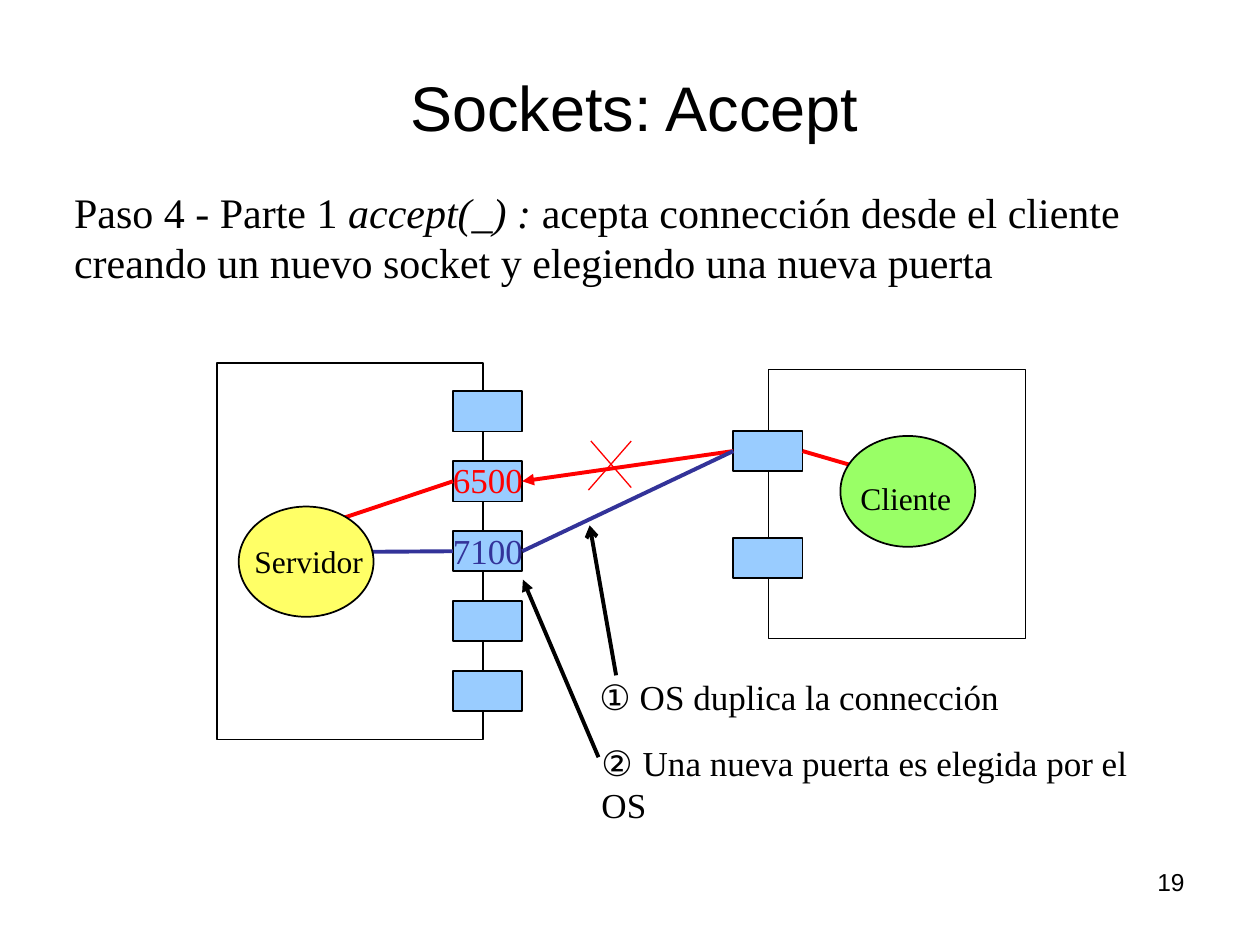
from lxml.etree import SubElement
from pptx import Presentation
from pptx.dml.color import RGBColor
from pptx.enum.shapes import MSO_CONNECTOR, MSO_SHAPE
from pptx.enum.text import MSO_ANCHOR, PP_ALIGN
from pptx.oxml.ns import qn
from pptx.util import Inches, Pt

BLACK = RGBColor(0x00, 0x00, 0x00)
WHITE = RGBColor(0xFF, 0xFF, 0xFF)
RED = RGBColor(0xFF, 0x00, 0x00)
NAVY = RGBColor(0x33, 0x33, 0x99)
PORT_BLUE = RGBColor(0x99, 0xCC, 0xFF)
SERVER_YELLOW = RGBColor(0xFF, 0xFF, 0x66)
CLIENT_GREEN = RGBColor(0x99, 0xFF, 0x66)
SERIF = "Times New Roman"
SANS = "Arial"

presentation = Presentation()
presentation.slide_width = Inches(10)
presentation.slide_height = Inches(7.5)
COLUMN = presentation.slide_width / 100
ROW = presentation.slide_height / 75
slide = presentation.slides.add_slide(presentation.slide_layouts[5])


def place(column, row, columns, rows):
    return round(column * COLUMN), round(row * ROW), round(columns * COLUMN), round(rows * ROW)


def add_box(kind, area, color, width=1):
    shape = slide.shapes.add_shape(kind, *place(*area))
    shape.shadow.inherit = False
    shape.fill.solid()
    shape.fill.fore_color.rgb = color
    shape.line.color.rgb = BLACK
    shape.line.width = Pt(width)
    return shape


add_box(MSO_SHAPE.RECTANGLE, (17.2, 28.8, 21.15, 29.9), WHITE)
add_box(MSO_SHAPE.RECTANGLE, (61, 29.35, 20.4, 21.35), WHITE, 0.75)
server_ports = [
    add_box(MSO_SHAPE.RECTANGLE, (35.95, 31.05 + 5.55 * index, 5.5, 3.2), PORT_BLUE)
    for index in range(5)
]
client_ports = [
    add_box(MSO_SHAPE.RECTANGLE, (58.2, row, 5.5, 3.2), PORT_BLUE)
    for row in (34.2, 42.7)
]

listening, accepted = server_ports[1:3]
calling = client_ports[0]
links = [
    ((21.9, 42.9), (listening, 1), RED, 2.25, None),
    ((28.8, 43.8), (accepted, 1), NAVY, 2.25, None),
    ((calling, 1), (listening, 3), RED, 2.25, "triangle"),
    ((accepted, 3), (calling, 1), NAVY, 2.25, None),
    ((calling, 3), (69.2, 37.4), RED, 2.25, None),
    ((46.9, 35), (50.1, 38.7), RED, 0.75, None),
    ((50.1, 35), (46.7, 38.9), RED, 0.75, None),
    ((47.5, 60.1), (41.5, 46), BLACK, 2.25, "triangle"),
    ((48.9, 53.6), (46.8, 41.7), BLACK, 2.25, "arrow"),
]
ports = server_ports + client_ports
for start, end, color, width, arrowhead in links:
    points = [(0, 0) if point[0] in ports else place(*point, 0, 0)[:2] for point in (start, end)]
    connector = slide.shapes.add_connector(MSO_CONNECTOR.STRAIGHT, *points[0], *points[1])
    if start[0] in ports:
        connector.begin_connect(*start)
    if end[0] in ports:
        connector.end_connect(*end)
    connector.line.color.rgb = color
    connector.line.width = Pt(width)
    if arrowhead:
        SubElement(connector.line._get_or_add_ln(), qn("a:tailEnd"), type=arrowhead)
    SubElement(connector._element.spPr, qn("a:effectLst"))

add_box(MSO_SHAPE.OVAL, (18.95, 40.2, 10.7, 8.75), SERVER_YELLOW)
add_box(MSO_SHAPE.OVAL, (66.7, 34.6, 10.7, 8.8), CLIENT_GREEN)

heading = [[("Sockets: Accept", SANS, False)]]
step = [
    [("Paso 4 - Parte 1 ", SERIF, False), ("accept(_) : ", SERIF, True),
     ("acepta connección desde el cliente", SERIF, False)],
    [("creando un nuevo socket y elegiendo una nueva puerta", SERIF, False)],
]
duplicate = [[("①", SANS, False), (" OS duplica la connección", SERIF, False)]]
new_port = [[("② ", SANS, False), ("Una nueva puerta es elegida por el OS", SERIF, False)]]
labels = [
    (heading, (5.7, 3.4, 89.3, 10), 36, BLACK, PP_ALIGN.CENTER),
    (step, (4.9, 14.3, 86, 9), 24, BLACK, PP_ALIGN.LEFT),
    ([[("Servidor", SERIF, False)]], (19, 42.55, 11, 4), 18, BLACK, PP_ALIGN.CENTER),
    ([[("Cliente", SERIF, False)]], (67.3, 37.5, 9.6, 4), 18, BLACK, PP_ALIGN.LEFT),
    ([[("6500", SERIF, False)]], (34.95, 35.9, 7.8, 4.4), 20, RED, PP_ALIGN.LEFT),
    ([[("7100", SERIF, False)]], (34.95, 41.5, 7.8, 4.4), 20, NAVY, PP_ALIGN.LEFT),
    (duplicate, (46.6, 53.1, 35, 4.4), 20, BLACK, PP_ALIGN.LEFT),
    (new_port, (46.75, 58.35, 47.9, 7.7), 20, BLACK, PP_ALIGN.LEFT),
    ([[("19", SANS, False)]], (71.7, 68.3, 23.3, 5.2), 14, BLACK, PP_ALIGN.RIGHT),
]
for lines, area, size, color, align in labels:
    if lines is heading:
        label = slide.shapes.title
        label.left, label.top, label.width, label.height = place(*area)
        label.text_frame.vertical_anchor = MSO_ANCHOR.MIDDLE
    else:
        label = slide.shapes.add_textbox(*place(*area))
    label.text_frame.word_wrap = True
    for index, line in enumerate(lines):
        paragraph = label.text_frame.paragraphs[0] if index == 0 else label.text_frame.add_paragraph()
        paragraph.alignment = align
        for text, font, italic in line:
            run = paragraph.add_run()
            run.text = text
            run.font.name = font
            run.font.size = Pt(size)
            run.font.italic = italic
            run.font.color.rgb = color

presentation.save("out.pptx")
